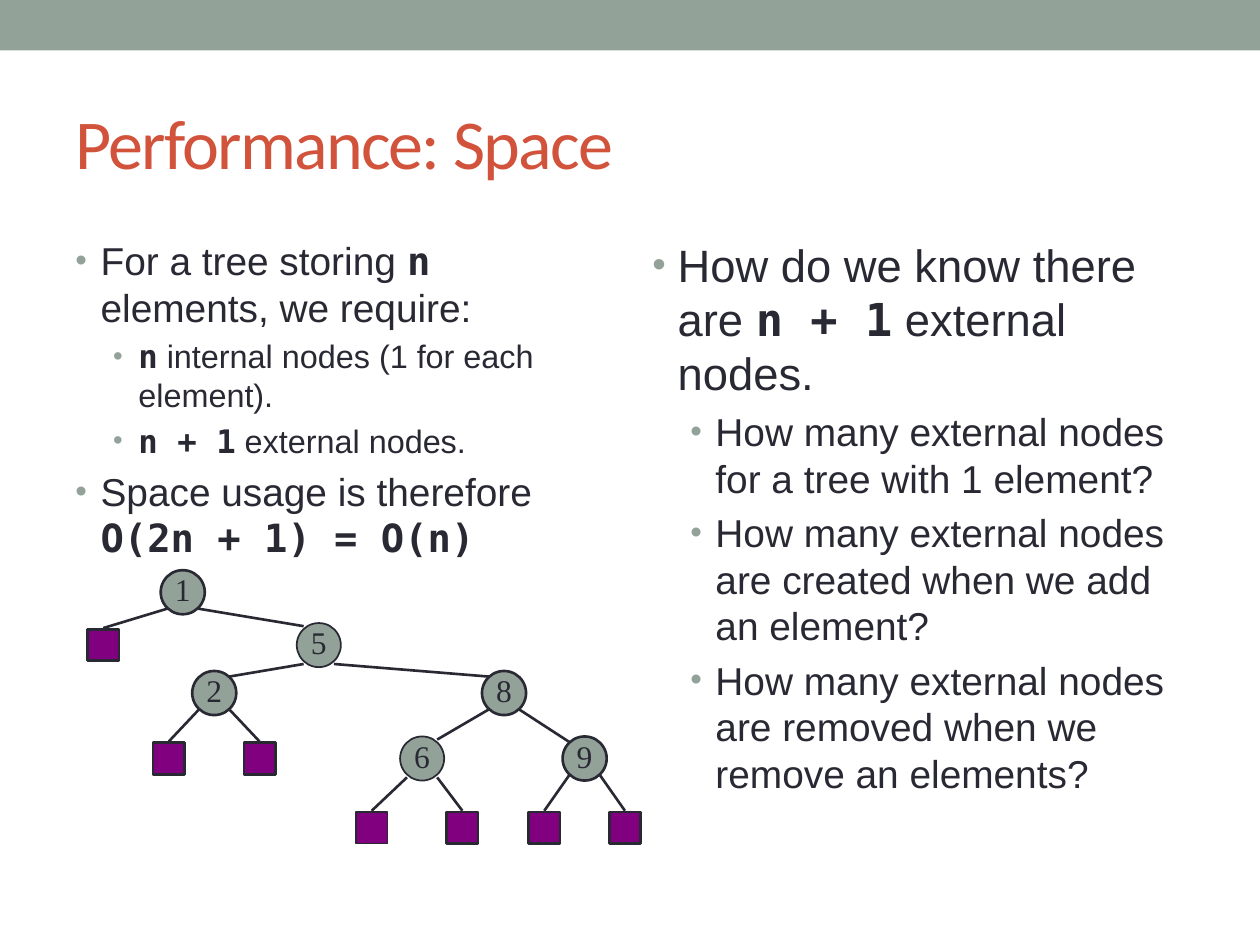
from dataclasses import dataclass

from lxml import etree
from pptx import Presentation
from pptx import util as u
from pptx.dml.color import RGBColor
from pptx.enum import shapes, text
from pptx.oxml.ns import qn

SAGE = RGBColor(0x93, 0xA2, 0x99)
INK = RGBColor(0x29, 0x29, 0x34)
RUST = RGBColor(0xD2, 0x53, 0x3C)
PURPLE = RGBColor(0x80, 0x00, 0x80)

WIDTH, HEIGHT = 10, 7.5
MARGIN = WIDTH * 0.05
COLUMN_WIDTH, COLUMN_TOP, COLUMN_HEIGHT = 4.42, 1.83, 5.16
NODE_SIZE, LEAF_SIZE = 0.35, 0.25
CORNER = 0.12  # sideways distance from a node's centre to its edges' ends


@dataclass(frozen=True)
class Node:
    """A tree node by its centre; a node without a label is external."""
    x: float
    y: float
    label: str = ""
    children: tuple["Node", ...] = ()
    line_width: float = 1.5

    @property
    def reach(self) -> float:
        return 0.13 if self.line_width > 1 else 0.15


@dataclass(frozen=True)
class Bullet:
    """A bullet; its phrases alternate between plain and code text."""
    phrases: tuple[str, ...]
    size: float
    level: int = 0


LEFT_BULLETS = (
    Bullet(("For a tree storing ", "n", " elements, we require:"), 22.2),
    Bullet(("", "n", " internal nodes (1 for each element)."), 18.5, 1),
    Bullet(("", "n + 1", " external nodes."), 18.5, 1),
    Bullet(("Space usage is therefore ", "O(2n + 1) = O(n)"), 22.2),
)
RIGHT_BULLETS = (
    Bullet(("How do we know there are ", "n + 1", " external nodes."), 25.9),
    Bullet(("How many external nodes for a tree with 1 element?",), 22.2, 1),
    Bullet(("How many external nodes are created when we add an element?",), 22.2, 1),
    Bullet(("How many external nodes are removed when we remove an elements?",), 22.2, 1),
)

NODE_2 = Node(1.7, 5.5, "2", (Node(1.34, 6.02), Node(2.06, 6.02)))
NODE_6 = Node(3.35, 6.02, "6", (Node(2.95, 6.57, line_width=1), Node(3.67, 6.57)), 1)
NODE_9 = Node(4.64, 6.02, "9", (Node(4.32, 6.57), Node(4.96, 6.57)))
NODE_8 = Node(4.0, 5.5, "8", (NODE_6, NODE_9))
NODE_5 = Node(2.53, 5.12, "5", (NODE_2, NODE_8), 1)
ROOT = Node(1.45, 4.7, "1", (Node(0.82, 5.12), NODE_5))


def add_bullets(slide, left: float, bullets: tuple[Bullet, ...]) -> None:
    box = slide.shapes.add_textbox(
        u.Inches(left), u.Inches(COLUMN_TOP), u.Inches(COLUMN_WIDTH), u.Inches(COLUMN_HEIGHT))
    frame = box.text_frame
    frame.word_wrap = True
    for index, bullet in enumerate(bullets):
        paragraph = frame.add_paragraph() if index else frame.paragraphs[0]
        paragraph.level = bullet.level
        paragraph.space_before = u.Pt(round(bullet.size * 0.2, 1))
        properties = paragraph._p.get_or_add_pPr()
        properties.set("marL", str(u.Inches(0.2 + 0.3 * bullet.level)))
        properties.set("indent", str(u.Inches(-0.2)))
        bullet_color = etree.SubElement(properties, qn("a:buClr"))
        etree.SubElement(bullet_color, qn("a:srgbClr"), val=str(SAGE))
        etree.SubElement(properties, qn("a:buSzPct"), val="85000")
        etree.SubElement(properties, qn("a:buFont"), typeface="Arial")
        etree.SubElement(properties, qn("a:buChar"), char="•")
        for position, phrase in enumerate(bullet.phrases):
            if not phrase:
                continue
            is_code = position % 2 == 1
            run = paragraph.add_run()
            run.text = phrase
            run.font.name = "DejaVu Sans Mono" if is_code else "Arial"
            run.font.bold = is_code
            run.font.size = u.Pt(bullet.size)
            run.font.color.rgb = INK


def add_edge(slide, parent: Node, child: Node) -> None:
    side = 1 if child.x > parent.x else -1
    if child.label:
        end_x, end_y = child.x - side * CORNER, child.y - child.reach
    else:
        end_x, end_y = child.x, child.y - LEAF_SIZE / 2 - 0.01
    edge = slide.shapes.add_connector(
        shapes.MSO_CONNECTOR.STRAIGHT,
        u.Inches(parent.x + side * CORNER), u.Inches(parent.y + parent.reach),
        u.Inches(end_x), u.Inches(end_y))
    edge.line.color.rgb = INK
    edge.line.width = u.Pt(1.5)
    etree.SubElement(edge._element.spPr, qn("a:effectLst"))


def add_tree(slide, node: Node) -> None:
    size = NODE_SIZE if node.label else LEAF_SIZE
    kind = shapes.MSO_SHAPE.OVAL if node.label else shapes.MSO_SHAPE.RECTANGLE
    shape = slide.shapes.add_shape(
        kind, u.Inches(node.x - size / 2), u.Inches(node.y - size / 2),
        u.Inches(size), u.Inches(size))
    shape.shadow.inherit = False
    shape.fill.solid()
    shape.fill.fore_color.rgb = SAGE if node.label else PURPLE
    shape.line.color.rgb = INK
    shape.line.width = u.Pt(node.line_width)
    if node.label:
        frame = shape.text_frame
        frame.margin_left = frame.margin_right = frame.margin_top = 0
        frame.margin_bottom = u.Inches(0.05)
        frame.word_wrap = False
        frame.vertical_anchor = text.MSO_ANCHOR.MIDDLE
        paragraph = frame.paragraphs[0]
        paragraph.alignment = text.PP_ALIGN.CENTER
        run = paragraph.add_run()
        run.text = node.label
        run.font.name = "Times New Roman"
        run.font.size = u.Pt(18)
        run.font.color.rgb = INK
    for child in node.children:
        add_edge(slide, node, child)
        add_tree(slide, child)


presentation = Presentation()
presentation.slide_width = u.Inches(WIDTH)
presentation.slide_height = u.Inches(HEIGHT)
slide = presentation.slides.add_slide(presentation.slide_layouts[5])

# Banner
banner = slide.shapes.add_shape(
    shapes.MSO_SHAPE.RECTANGLE, 0, 0, presentation.slide_width, u.Inches(0.4))
banner.shadow.inherit = False
banner.fill.solid()
banner.fill.fore_color.rgb = SAGE
banner.line.fill.background()

# Title
title = slide.shapes.title
title.left, title.top = u.Inches(MARGIN), u.Inches(0.58)
title.width, title.height = u.Inches(WIDTH - 2 * MARGIN), u.Inches(1.08)
title.text_frame.vertical_anchor = text.MSO_ANCHOR.MIDDLE
title_paragraph = title.text_frame.paragraphs[0]
title_paragraph.alignment = text.PP_ALIGN.LEFT
title_run = title_paragraph.add_run()
title_run.text = "Performance: Space"
title_run.font.name = "Calibri"
title_run.font.size = u.Pt(40)
title_run.font.color.rgb = RUST
title_run._r.get_or_add_rPr().set("spc", "-100")

# Text columns
add_bullets(slide, MARGIN, LEFT_BULLETS)
add_bullets(slide, WIDTH - MARGIN - COLUMN_WIDTH, RIGHT_BULLETS)

# Tree
add_tree(slide, ROOT)

presentation.save("out.pptx")
